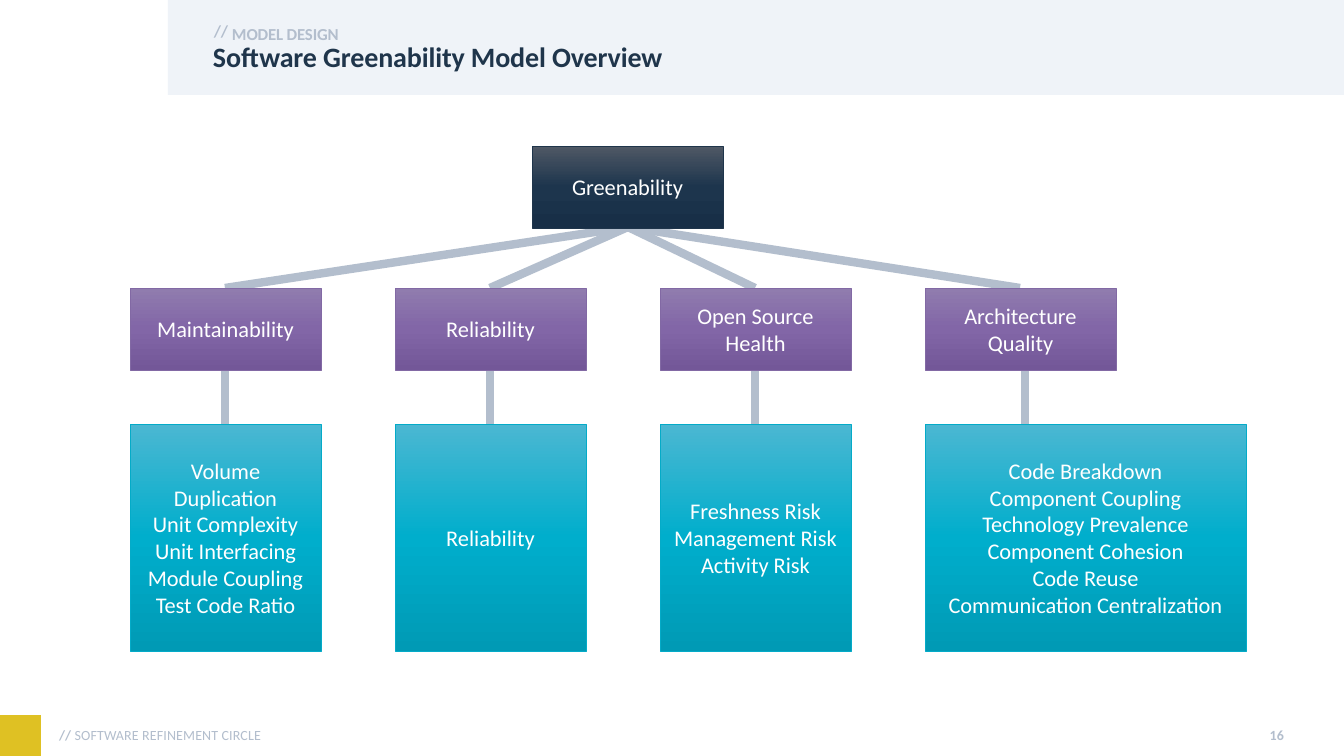
"""Build the Software Greenability Model overview slide."""
from copy import deepcopy
from dataclasses import dataclass

from lxml import etree
from pptx import Presentation
from pptx.dml.color import RGBColor
from pptx.enum.shapes import MSO_CONNECTOR, MSO_SHAPE
from pptx.enum.text import MSO_ANCHOR, PP_ALIGN
from pptx.oxml.ns import qn
from pptx.util import Pt

RECTANGLE = MSO_SHAPE.RECTANGLE
STRAIGHT = MSO_CONNECTOR.STRAIGHT
TOP, MIDDLE = MSO_ANCHOR.TOP, MSO_ANCHOR.MIDDLE
LEFT, CENTER, RIGHT = PP_ALIGN.LEFT, PP_ALIGN.CENTER, PP_ALIGN.RIGHT

EMU_PER_PX = 914400 / 100.8
PAGE_WIDTH, PAGE_HEIGHT = 1344, 756
COLUMN_LEFT, COLUMN_PITCH = 130, 265
NODE_WIDTH, NODE_HEIGHT = 191, 82
ROOT_LEFT, ROOT_TOP = 532, 146
FACTOR_TOP = 288
METRICS_TOP, METRICS_HEIGHT = 424, 227
NODE_INSETS = (12, 8, 12, 8)
FOOTER_INSETS = (0, 4, 10, 5)


@dataclass(frozen=True)
class Theme:
    """Colours, font and type sizes of the slide."""
    font: str = "Calibri"
    band: str = "EFF3F8"
    accent: str = "DFC123"
    muted: str = "B3BECD"
    title: str = "1F354B"
    white: str = "FFFFFF"
    root: tuple = ("4F5865", "1D354D", "182F47")
    root_line: str = "1F354B"
    factor: tuple = ("907CAE", "8266A7", "735798")
    factor_line: str = "8269A4"
    metrics: tuple = ("4BB7D2", "00AECC", "009AB5")
    metrics_line: str = "04ABC8"
    title_size: int = 20
    node_size: int = 16
    label_size: int = 12
    footer_size: int = 10
    outline: float = 0.5
    link: int = 6


THEME = Theme()

COLUMNS = [
    ("Maintainability", 191, 95,
     ["Volume", "Duplication", "Unit Complexity", "Unit Interfacing",
      "Module Coupling", "Test Code Ratio"]),
    ("Reliability", 191, 95, ["Reliability"]),
    ("Open Source Health", 191, 95,
     ["Freshness Risk", "Management Risk", "Activity Risk"]),
    ("Architecture Quality", 321, 100,
     ["Code Breakdown", "Component Coupling", "Technology Prevalence",
      "Component Cohesion", "Code Reuse", "Communication Centralization"]),
]


def px(*lengths):
    """Turn pixel lengths into a list of EMU."""
    return [round(length * EMU_PER_PX) for length in lengths]


def colour(code):
    """Return the colour for a hex code."""
    return RGBColor.from_string(code)


def set_frame(frame, insets, anchor):
    """Set wrapping, insets and vertical anchor of a text frame."""
    frame.word_wrap = True
    frame.vertical_anchor = anchor
    (frame.margin_left, frame.margin_top,
     frame.margin_right, frame.margin_bottom) = px(*insets)


def add_span(para, text, size, code, bold=False, tracking=0):
    """Add one styled run; tracking is in hundredths of a point."""
    span = para.add_run()
    span.text = text
    font = span.font
    font.name, font.size, font.bold = THEME.font, Pt(size), bold
    font.color.rgb = colour(code)
    if tracking:
        span._r.get_or_add_rPr().set("spc", str(tracking))


def add_block(page, area, code):
    """Add a plain filled rectangle."""
    block = page.shapes.add_shape(RECTANGLE, *px(*area))
    block.shadow.inherit = False
    block.fill.solid()
    block.fill.fore_color.rgb = colour(code)
    block.line.fill.background()


def add_label(page, area, spans, size, code, tracking, insets=(10, 5, 10, 5),
              anchor=MIDDLE, align=LEFT, spacing=1.0):
    """Add a one-paragraph text box from (text, bold) spans."""
    box = page.shapes.add_textbox(*px(*area))
    set_frame(box.text_frame, insets, anchor)
    para = box.text_frame.paragraphs[0]
    para.alignment, para.line_spacing = align, spacing
    for text, bold in spans:
        add_span(para, text, size, code, bold, tracking)


def add_node(page, area, lines, shades, line_code):
    """Add a gradient box with centred lines of text."""
    node = page.shapes.add_shape(RECTANGLE, *px(*area))
    node.shadow.inherit = False
    node.fill.gradient()
    node.fill.gradient_angle = 270
    stop_list = node.element.spPr.find(qn("a:gradFill")).find(qn("a:gsLst"))
    stop_list.append(deepcopy(stop_list[0]))
    for stop, shade, position in zip(node.fill.gradient_stops, shades, (0, 0.5, 1)):
        stop.color.rgb = colour(shade)
        stop.position = position
    node.line.color.rgb = colour(line_code)
    node.line.width = Pt(THEME.outline)
    frame = node.text_frame
    set_frame(frame, NODE_INSETS, MIDDLE)
    for index, text in enumerate(lines):
        para = frame.add_paragraph() if index else frame.paragraphs[0]
        para.alignment = CENTER
        add_span(para, text, THEME.node_size, THEME.white)


def add_link(page, start, end):
    """Add a thick straight line between two points."""
    link = page.shapes.add_connector(STRAIGHT, *px(*start, *end))
    link.line.color.rgb = colour(THEME.muted)
    link.line.width = Pt(THEME.link)
    etree.SubElement(link.element.spPr, qn("a:effectLst"))


def add_frame(page):
    """Add the header band, titles and footer."""
    add_block(page, (168, 0, 1176, 95), THEME.band)
    add_block(page, (0, 715, 41, 41), THEME.accent)
    add_label(page, (59, 715, 533, 41),
              [("//", True), (" SOFTWARE REFINEMENT CIRCLE", False)],
              THEME.footer_size, THEME.muted, 10, FOOTER_INSETS)
    add_label(page, (204, 16, 37, 30), [("//", True)],
              THEME.label_size, THEME.muted, -10)
    add_label(page, (1267, 722, 27, 26), [("16", True)],
              THEME.footer_size, THEME.muted, 10, FOOTER_INSETS, align=RIGHT)
    add_label(page, (232, 19, 1062, 24), [("MODEL DESIGN", True)],
              THEME.label_size, THEME.muted, -10, (0, 2, 10, 0), TOP, spacing=1.14)
    add_label(page, (213, 43, 1081, 31),
              [("Software Greenability Model Overview", True)],
              THEME.title_size, THEME.title, -10, (0, 0, 0, 0), TOP, spacing=0.9)


def add_tree(page):
    """Add the links, then the root, factor and metric boxes."""
    root_bottom = (ROOT_LEFT + NODE_WIDTH // 2 + 1, ROOT_TOP + NODE_HEIGHT - 1)
    lefts = [COLUMN_LEFT + COLUMN_PITCH * index for index in range(len(COLUMNS))]
    for left, (_, _, drop, _) in zip(lefts, COLUMNS):
        add_link(page, root_bottom, (left + NODE_WIDTH // 2, FACTOR_TOP))
        add_link(page, (left + drop, FACTOR_TOP + NODE_HEIGHT),
                 (left + drop, METRICS_TOP))
    add_node(page, (ROOT_LEFT, ROOT_TOP, NODE_WIDTH, NODE_HEIGHT),
             ["Greenability"], THEME.root, THEME.root_line)
    for left, (factor, width, _, metrics) in zip(lefts, COLUMNS):
        add_node(page, (left, FACTOR_TOP, NODE_WIDTH, NODE_HEIGHT),
                 [factor], THEME.factor, THEME.factor_line)
        add_node(page, (left, METRICS_TOP, width, METRICS_HEIGHT),
                 metrics, THEME.metrics, THEME.metrics_line)


def main():
    """Build and save the deck."""
    deck = Presentation()
    deck.slide_width, deck.slide_height = px(PAGE_WIDTH, PAGE_HEIGHT)
    page = deck.slides.add_slide(deck.slide_layouts[6])
    add_frame(page)
    add_tree(page)
    deck.save("out.pptx")


if __name__ == "__main__":
    main()
